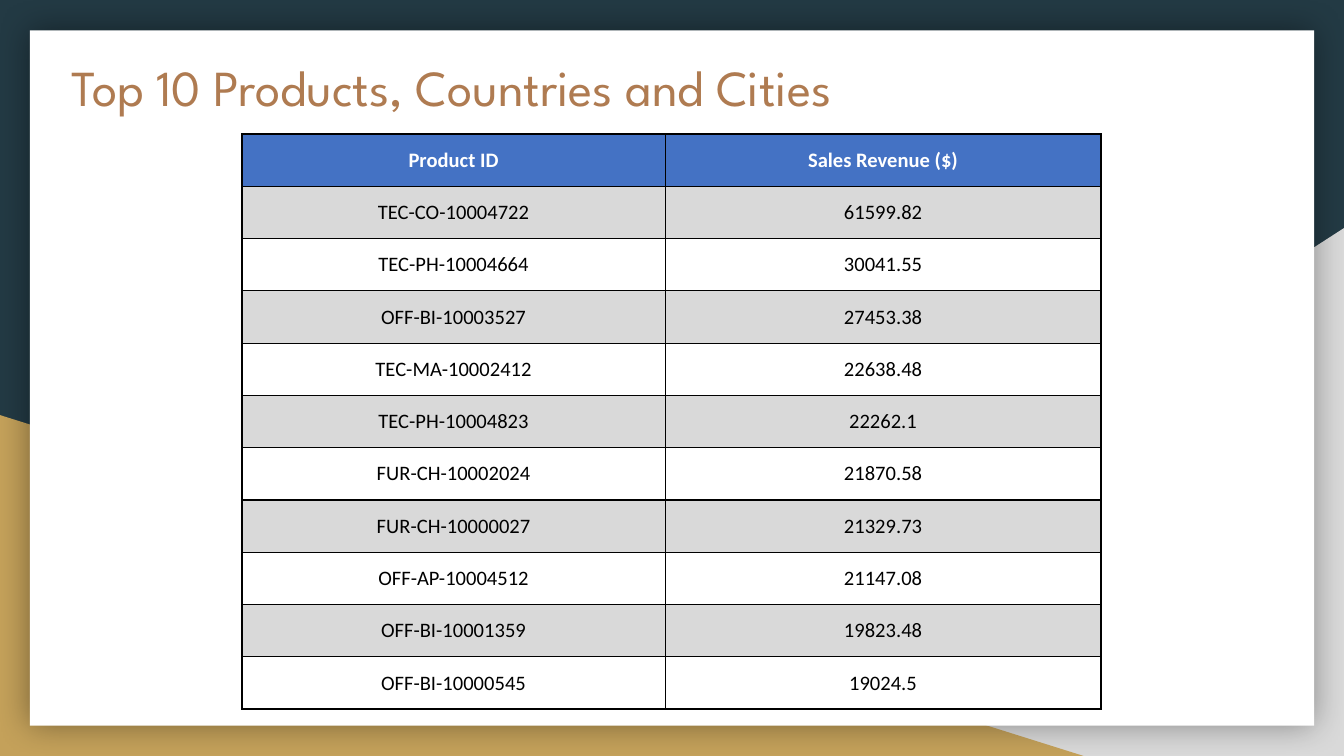
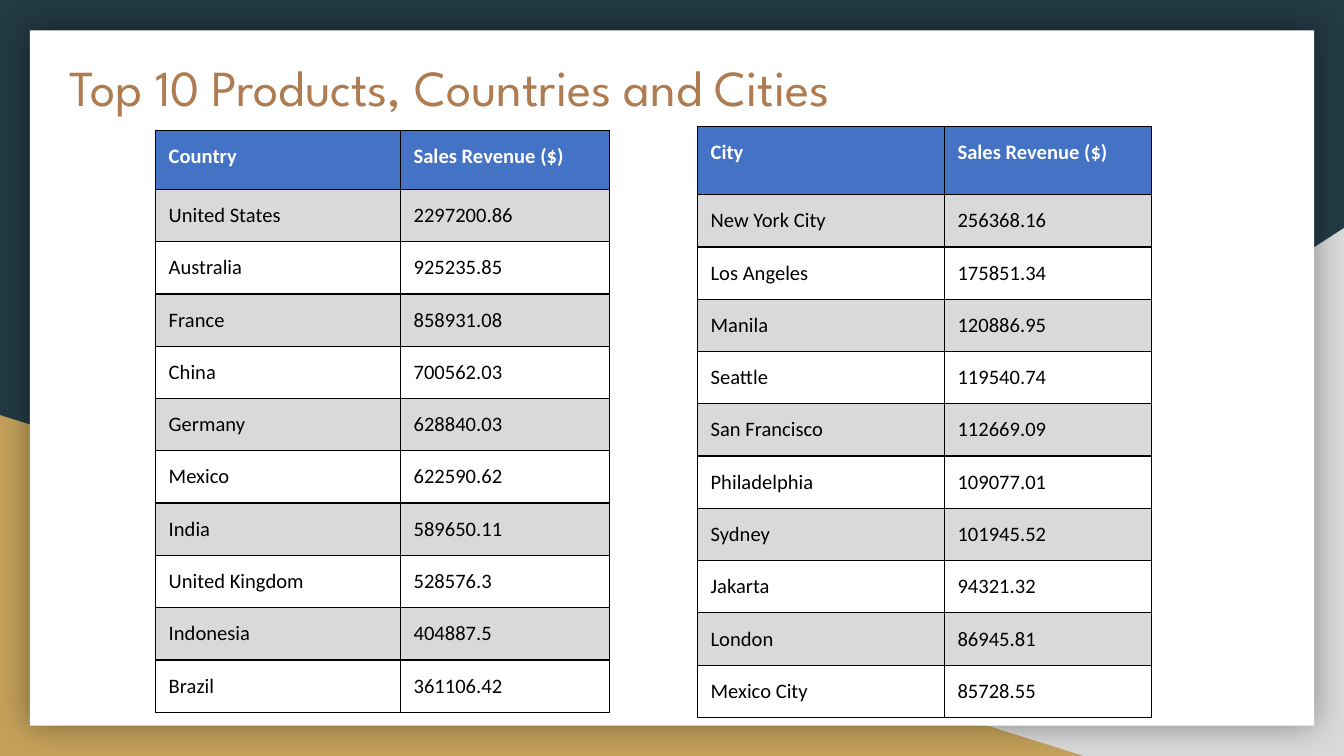
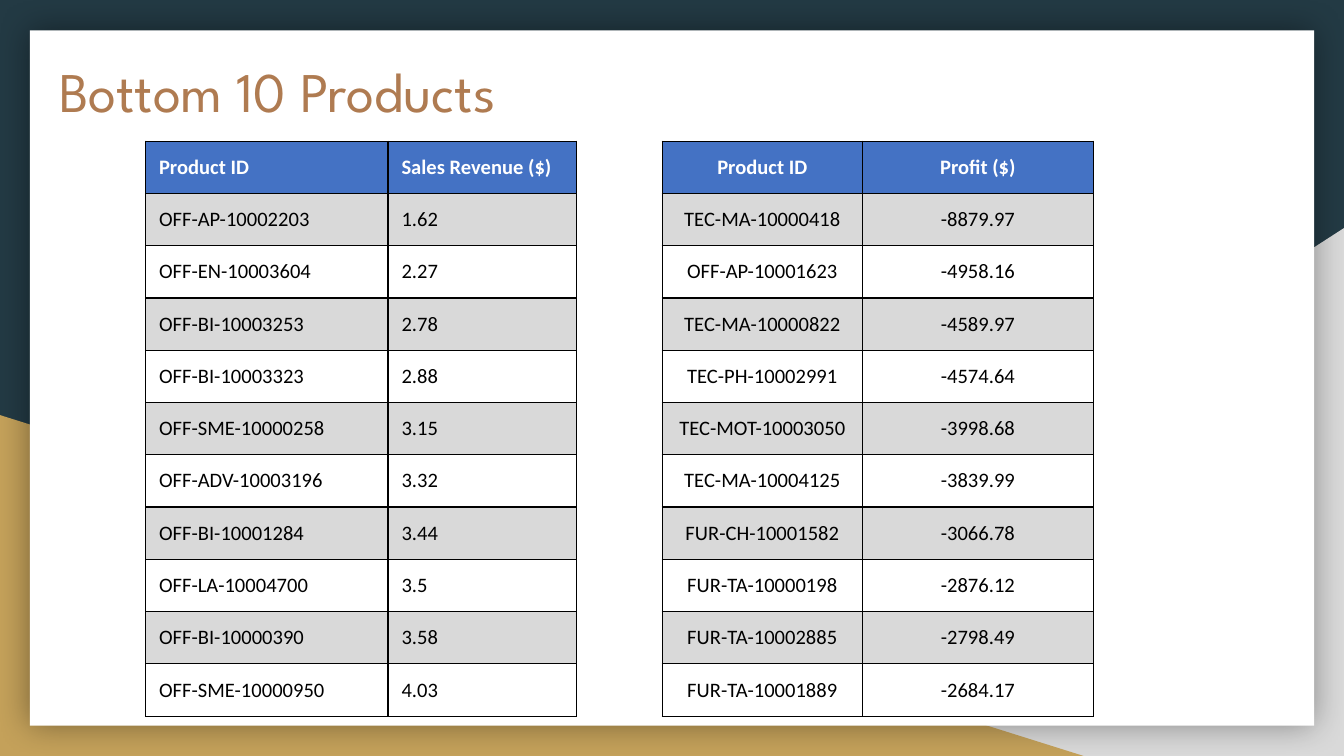
from dataclasses import dataclass

from lxml.etree import SubElement
from pptx import Presentation
from pptx.dml.color import RGBColor
from pptx.enum.shapes import MSO_SHAPE
from pptx.enum.text import MSO_ANCHOR, MSO_AUTO_SIZE, PP_ALIGN
from pptx.oxml.ns import qn
from pptx.util import Pt


@dataclass(frozen=True)
class Theme:
    navy: str = "233A44"
    gold: str = "C4A15A"
    gray: str = "D9D9D9"
    white: str = "FFFFFF"
    black: str = "000000"
    brown: str = "AF7B51"
    blue: str = "4472C4"
    head: str = "League Spartan"
    body: str = "Calibri"
    title: int = 27
    large: int = 30
    cell: int = 11
    inset: float = 7.2
    border: float = 0.75


THEME = Theme()
LEFT, CENTER = PP_ALIGN.LEFT, PP_ALIGN.CENTER
TOP, MIDDLE = MSO_ANCHOR.TOP, MSO_ANCHOR.MIDDLE

PRODUCTS = [
    ("Product ID", "Sales Revenue ($)"),
    ("TEC-CO-10004722", "61599.82"),
    ("TEC-PH-10004664", "30041.55"),
    ("OFF-BI-10003527", "27453.38"),
    ("TEC-MA-10002412", "22638.48"),
    ("TEC-PH-10004823", "22262.1"),
    ("FUR-CH-10002024", "21870.58"),
    ("FUR-CH-10000027", "21329.73"),
    ("OFF-AP-10004512", "21147.08"),
    ("OFF-BI-10001359", "19823.48"),
    ("OFF-BI-10000545", "19024.5"),
]
COUNTRIES = [
    ("Country", "Sales Revenue ($)"),
    ("United States", "2297200.86"),
    ("Australia", "925235.85"),
    ("France", "858931.08"),
    ("China", "700562.03"),
    ("Germany", "628840.03"),
    ("Mexico", "622590.62"),
    ("India", "589650.11"),
    ("United Kingdom", "528576.3"),
    ("Indonesia", "404887.5"),
    ("Brazil", "361106.42"),
]
CITIES = [
    ("City", "Sales Revenue ($)"),
    ("New York City", "256368.16"),
    ("Los Angeles", "175851.34"),
    ("Manila", "120886.95"),
    ("Seattle", "119540.74"),
    ("San Francisco", "112669.09"),
    ("Philadelphia", "109077.01"),
    ("Sydney", "101945.52"),
    ("Jakarta", "94321.32"),
    ("London", "86945.81"),
    ("Mexico City", "85728.55"),
]
LOW_SALES = [
    ("Product ID", "Sales Revenue ($)"),
    ("OFF-AP-10002203", "1.62"),
    ("OFF-EN-10003604", "2.27"),
    ("OFF-BI-10003253", "2.78"),
    ("OFF-BI-10003323", "2.88"),
    ("OFF-SME-10000258", "3.15"),
    ("OFF-ADV-10003196", "3.32"),
    ("OFF-BI-10001284", "3.44"),
    ("OFF-LA-10004700", "3.5"),
    ("OFF-BI-10000390", "3.58"),
    ("OFF-SME-10000950", "4.03"),
]
LOW_PROFIT = [
    ("Product ID", "Profit ($)"),
    ("TEC-MA-10000418", "-8879.97"),
    ("OFF-AP-10001623", "-4958.16"),
    ("TEC-MA-10000822", "-4589.97"),
    ("TEC-PH-10002991", "-4574.64"),
    ("TEC-MOT-10003050", "-3998.68"),
    ("TEC-MA-10004125", "-3839.99"),
    ("FUR-CH-10001582", "-3066.78"),
    ("FUR-TA-10000198", "-2876.12"),
    ("FUR-TA-10002885", "-2798.49"),
    ("FUR-TA-10001889", "-2684.17"),
]


def paint(fill, color):
    fill.solid()
    fill.fore_color.rgb = RGBColor.from_string(color)


def write(frame, text, *, size, font, color, bold=False, align=LEFT):
    frame.text = text
    para = frame.paragraphs[0]
    para.alignment = align
    style = para.runs[0].font
    style.size, style.name, style.bold = Pt(size), font, bold
    style.color.rgb = RGBColor.from_string(color)


def pad(box):
    """Set equal insets on a text frame or a table cell."""
    box.margin_left = box.margin_right = Pt(THEME.inset)
    box.margin_top = box.margin_bottom = Pt(THEME.inset)


def add_panel(slide, kind, left, top, width, height, color):
    panel = slide.shapes.add_shape(kind, Pt(left), Pt(top), Pt(width), Pt(height))
    panel.shadow.inherit = False
    paint(panel.fill, color)
    panel.line.fill.background()
    return panel


def add_glow(shape, blur, alpha):
    """Give the shape a soft, centred black shadow."""
    effects = shape.element.spPr.find(qn("a:effectLst"))
    glow = SubElement(effects, qn("a:outerShdw"), blurRad=str(Pt(blur)),
                      dist="0", dir="0", algn="ctr", rotWithShape="0")
    tint = SubElement(glow, qn("a:srgbClr"), val=THEME.black)
    SubElement(tint, qn("a:alpha"), val=str(alpha * 1000))


def dress(layout, slide):
    """Draw the backdrop on the slide, then move it to the shared layout."""
    paint(layout.background.fill, THEME.navy)
    for holder in list(layout.placeholders)[1:]:
        layout.shapes.element.remove(holder.element)
    corner = MSO_SHAPE.RIGHT_TRIANGLE
    right = add_panel(slide, corner, 282, 122.2, 438, 282.8, THEME.gray)
    right.element.spPr.get_or_add_xfrm().set("flipH", "1")
    left = add_panel(slide, corner, 0, 222.4, 580.5, 182.6, THEME.gold)
    sheet = add_panel(slide, MSO_SHAPE.RECTANGLE, 16, 16.2, 688, 372.5, THEME.white)
    add_glow(sheet, 18, 40)
    for spot, panel in enumerate((right, left, sheet), 2):
        layout.shapes.element.insert(spot, panel.element)


def add_title(slide, text, left, height=44.6, size=THEME.title):
    title = slide.shapes.title
    title.left, title.top = Pt(left), Pt(23)
    title.width, title.height = Pt(591), Pt(height)
    frame = title.text_frame
    frame.word_wrap = True
    frame.auto_size = MSO_AUTO_SIZE.NONE
    frame.vertical_anchor = TOP
    pad(frame)
    write(frame, text, size=size, font=THEME.head, color=THEME.brown)


def add_border(cell):
    props = cell._tc.get_or_add_tcPr()
    for side in "LRTB":
        line = SubElement(props, qn(f"a:ln{side}"), w=str(Pt(THEME.border)))
        fill = SubElement(line, qn("a:solidFill"))
        SubElement(fill, qn("a:srgbClr"), val=THEME.black)


def add_grid(slide, data, left, top, widths, first, rest, align=LEFT, anchor=TOP):
    """Add a banded table; first and rest are the header and body row heights."""
    heights = [first] + [rest] * (len(data) - 1)
    table = slide.shapes.add_table(len(data), len(widths), Pt(left), Pt(top),
                                   Pt(sum(widths)), Pt(sum(heights))).table
    table.horz_banding = False
    for column, width in zip(table.columns, widths):
        column.width = Pt(width)
    for row, (height, values) in enumerate(zip(heights, data)):
        table.rows[row].height = Pt(height)
        header = row == 0
        for col, value in enumerate(values):
            cell = table.cell(row, col)
            pad(cell)
            cell.vertical_anchor = anchor
            add_border(cell)
            if header:
                paint(cell.fill, THEME.blue)
            elif row % 2:
                paint(cell.fill, THEME.gray)
            else:
                cell.fill.background()
            write(cell.text_frame, value, size=THEME.cell, font=THEME.body,
                  color=THEME.white if header else THEME.black,
                  bold=header, align=align)


def main():
    deck = Presentation()
    deck.slide_width, deck.slide_height = Pt(720), Pt(405)
    layout = deck.slide_layouts.get_by_name("Title Only")
    best, places, worst = [deck.slides.add_slide(layout) for _ in range(3)]
    dress(layout, best)

    heading = "Top 10 Products, Countries and Cities"
    add_title(best, heading, 31)
    add_grid(best, PRODUCTS, 129.6, 71.8, (226.8, 233.4), 26.6, 26.6,
             align=CENTER, anchor=MIDDLE)

    add_title(places, heading, 30.2)
    add_grid(places, COUNTRIES, 83.2, 69.8, (131.2, 112.2), 31.7, 27.9)
    add_grid(places, CITIES, 373.5, 67.6, (132.3, 111), 36.7, 27.4)

    add_title(worst, "Bottom 10 Products", 24.5, height=52.6, size=THEME.large)
    add_grid(worst, LOW_SALES, 78, 75.6, (129.9, 101), 27.9, 25.9)
    add_grid(worst, LOW_PROFIT, 354.8, 75.6, (107.2, 123.8), 23.8, 27.4,
             align=CENTER)

    deck.save("out.pptx")


if __name__ == "__main__":
    main()
